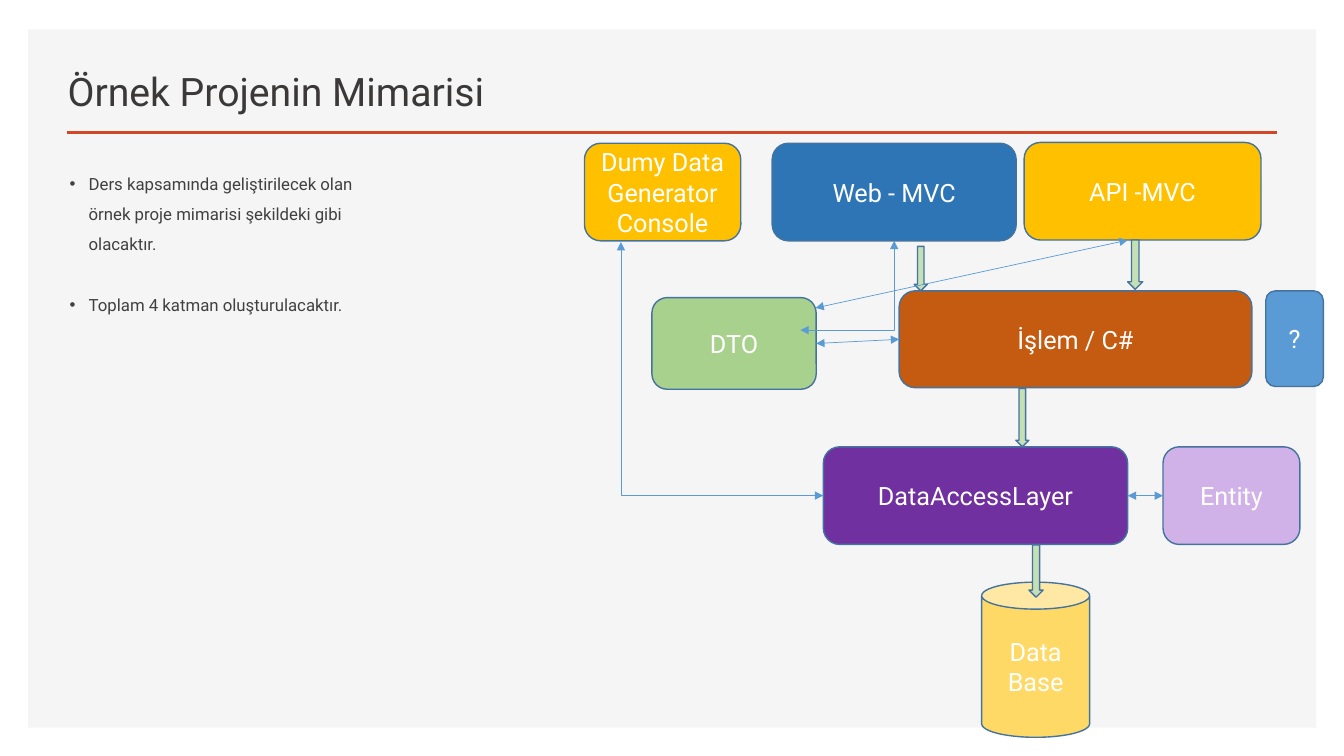
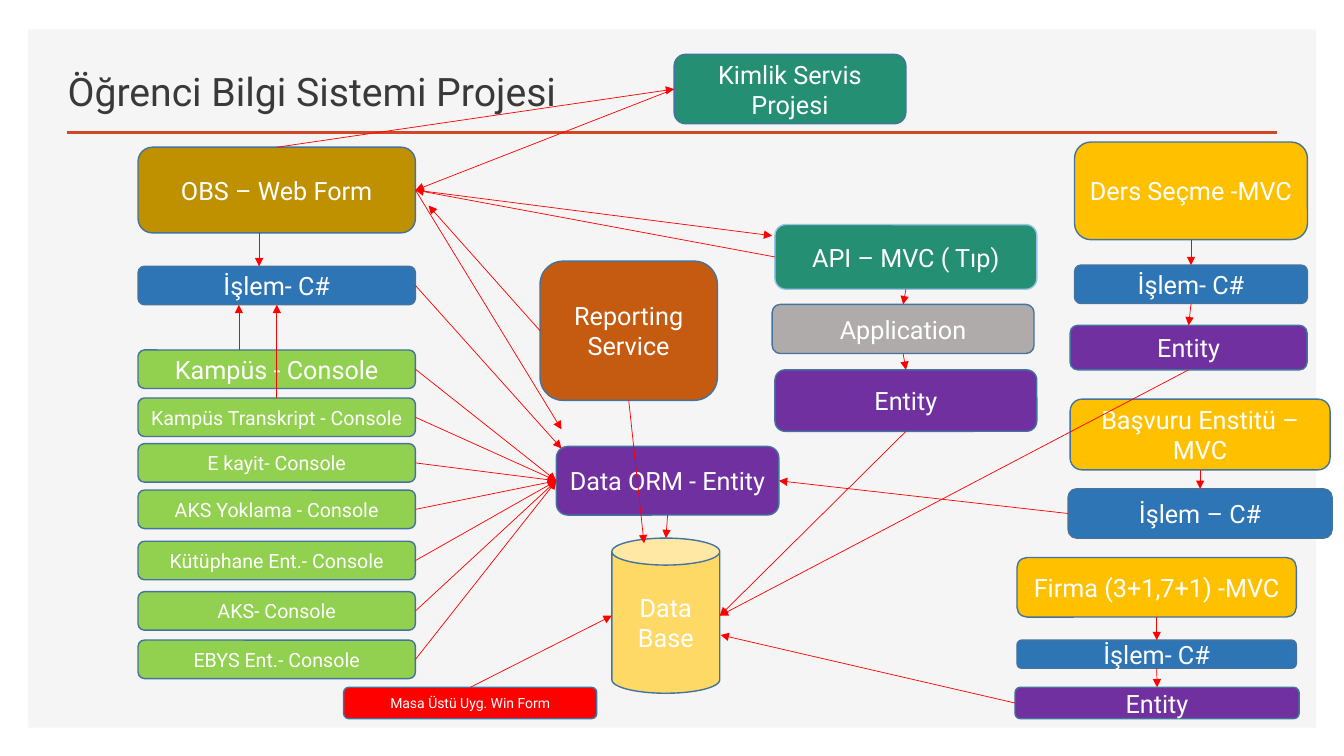
from lxml import etree
from pptx import Presentation
from pptx import util as u
from pptx.dml import color as dml
from pptx.enum import shapes, text
from pptx.oxml import ns

FONT = "Roboto"
COLOURS = {
    "panel": "F5F5F5", "rule": "D24726", "title": "3B3838", "body": "404040",
    "white": "FFFFFF", "outline": "43739E", "pale_outline": "9DC3E6",
    "amber": "FFC000", "blue": "2E75B6", "sky": "5B9BD5", "rust": "C55A11",
    "purple": "7030A0", "lilac": "D1B2E8", "sand": "FFD966", "sage": "A9D18E",
    "mint": "C5E0B4", "ochre": "BF9000", "teal": "258F73", "lime": "92D050",
    "grey": "AFABAB", "red": "FF0000",
}
ROUNDED = shapes.MSO_SHAPE.ROUNDED_RECTANGLE
SITES = {"top": (0, 0.5, 0), "left": (1, 0, 0.5),
         "bottom": (2, 0.5, 1), "right": (3, 1, 0.5)}


def rgb(name):
    return dml.RGBColor.from_string(COLOURS[name])


def format_runs(paragraph, size, colour):
    for run in paragraph.runs:
        run.font.name = FONT
        run.font.size = u.Pt(size)
        run.font.color.rgb = rgb(colour)


def place(shape, left, top, width, height):
    shape.left, shape.top = u.Cm(left), u.Cm(top)
    shape.width, shape.height = u.Cm(width), u.Cm(height)


def add_box(slide, left, top, width, height, fill, label="", size=18,
            kind=ROUNDED, outline="outline"):
    shape = slide.shapes.add_shape(
        kind, u.Cm(left), u.Cm(top), u.Cm(width), u.Cm(height))
    shape.shadow.inherit = False
    shape.fill.solid()
    shape.fill.fore_color.rgb = rgb(fill)
    if outline:
        shape.line.color.rgb = rgb(outline)
        shape.line.width = u.Pt(1)
    else:
        shape.line.fill.background()
    if label:
        frame = shape.text_frame
        frame.word_wrap = True
        frame.vertical_anchor = text.MSO_ANCHOR.MIDDLE
        frame.text = label
        frame.paragraphs[0].alignment = text.PP_ALIGN.CENTER
        format_runs(frame.paragraphs[0], size, "white")
    return shape


def add_database(slide, left, top):
    return add_box(slide, left, top, 2.72, 3.91, "sand", "Data\vBase",
                   kind=shapes.MSO_SHAPE.CAN)


def locate(end):
    target, side = end
    if not isinstance(side, str):
        return u.Cm(target), u.Cm(side)
    _, across, down = SITES[side]
    return (int(target.left + target.width * across),
            int(target.top + target.height * down))


def add_link(slide, start, end, colour="red", width=0.5, heads=("tailEnd",),
             elbow=False):
    style = shapes.MSO_CONNECTOR.ELBOW if elbow else shapes.MSO_CONNECTOR.STRAIGHT
    link = slide.shapes.add_connector(style, *locate(start), *locate(end))
    for (target, side), attach in ((start, link.begin_connect),
                                   (end, link.end_connect)):
        if isinstance(side, str) and target.auto_shape_type == ROUNDED:
            attach(target, SITES[side][0])
    link.line.color.rgb = rgb(colour)
    link.line.width = u.Pt(width)
    properties = link.element.spPr
    if elbow:
        properties.find(ns.qn("a:prstGeom")).set("prst", "bentConnector2")
    line = properties.find(ns.qn("a:ln"))
    for head in heads:
        etree.SubElement(line, ns.qn("a:" + head), type="triangle")
    etree.SubElement(properties, ns.qn("a:effectLst"))
    return link


def add_frame(presentation, slide):
    panel = add_box(slide, 0.71, 0.74, 32.46, 17.6, "panel",
                    kind=shapes.MSO_SHAPE.RECTANGLE, outline=None)
    rule = add_link(slide, (1.68, 3.33), (32.18, 3.33), "rule", 2, ())
    tree = presentation.slide_master.shapes.element
    for index, part in enumerate((panel, rule)):
        part.element.xpath(".//p:cNvPr")[0].set("id", str(100 + index))
        tree.insert(2 + index, part.element)


def add_titled_slide(presentation, layout, heading):
    slide = presentation.slides.add_slide(presentation.slide_layouts[layout])
    title = slide.shapes.title
    place(title, 1.45, 1.24, 19.1, 1.78)
    frame = title.text_frame
    frame.text = heading
    frame.auto_size = text.MSO_AUTO_SIZE.NONE
    frame.vertical_anchor = text.MSO_ANCHOR.BOTTOM
    frame.paragraphs[0].alignment = text.PP_ALIGN.LEFT
    format_runs(frame.paragraphs[0], 28, "title")
    return slide


def fill_body(body, left, top, width, height, items):
    place(body, left, top, width, height)
    frame = body.text_frame
    frame.text = "\n".join(items)
    frame.auto_size = text.MSO_AUTO_SIZE.NONE
    for paragraph in frame.paragraphs:
        paragraph.line_spacing = 1.5
        paragraph.space_before = u.Pt(10)
        paragraph.space_after = u.Pt(12)
        format_runs(paragraph, 12, "body")
        properties = paragraph._p.get_or_add_pPr()
        properties.set("marL", str(u.Cm(0.48)))
        properties.set("indent", str(-u.Cm(0.48)))
        etree.SubElement(properties, ns.qn("a:buFont"), typeface="Arial")
        etree.SubElement(properties, ns.qn("a:buChar"), char="•")


def draw_layers(slide, left, top):
    def layer(x, y, width, height, fill, label):
        return add_box(slide, left + x, top + y, width, height, fill, label)

    def point(x, y):
        return left + x, top + y

    layer(0, 0, 3.94, 2.46, "amber", "Dumy Data Generator\vConsole")
    web = layer(4.73, 0, 6.15, 2.46, "blue", "Web - MVC")
    layer(11.08, -0.02, 5.97, 2.46, "amber", "API -MVC")
    transfer = layer(1.7, 3.89, 4.14, 2.31, "sage", "DTO")
    process = layer(7.93, 3.72, 8.89, 2.44, "rust", "İşlem / C#")
    layer(17.17, 3.72, 1.45, 2.41, "sky", "?")
    access = layer(6.02, 7.65, 7.67, 2.46, "purple", "DataAccessLayer")
    entity = layer(14.58, 7.65, 3.45, 2.46, "lilac", "Entity")
    add_database(slide, left + 10.01, top + 11.06)

    for x, y, width, height in (
            (8.31, 2.6, 0.33, 1.12), (13.69, 2.44, 0.38, 1.24),
            (10.87, 6.18, 0.33, 1.47), (11.2, 10.12, 0.36, 1.32)):
        add_box(slide, left + x, top + y, width, height, "mint",
                kind=shapes.MSO_SHAPE.DOWN_ARROW)

    for start, end, elbow in (
            (point(5.44, 4.71), (web, "bottom"), True),
            ((transfer, "right"), (process, "left"), False),
            (point(5.82, 4.15), point(13.69, 2.44), False),
            ((access, "left"), point(0.92, 2.49), True),
            ((entity, "left"), (access, "right"), False)):
        add_link(slide, start, end, "sky", heads=("headEnd", "tailEnd"),
                 elbow=elbow)


def draw_chain(slide, left, top, rows):
    boxes = [add_box(slide, left + x, top + y, width, height, fill, label,
                     outline=outline)
             for label, x, y, width, height, fill, outline in rows]
    for upper, lower in zip(boxes, boxes[1:]):
        add_link(slide, (upper, "bottom"), (lower, "top"))
    return boxes


def draw_consoles(slide, left, top):
    width, height = 6.99, 0.97
    portal = add_box(slide, left, top, width, 2.16, "ochre", "OBS – Web Form")
    process = add_box(slide, left, top + 3, width, height, "blue", "İşlem- C#")
    rows = (
        ("Kampüs - Console", 5.11, 18),
        ("Kampüs Transkript - Console", 6.32, 14),
        ("E kayit- Console", 7.47, 14),
        ("AKS Yoklama - Console", 8.64, 14),
        ("Kütüphane Ent.- Console", 9.93, 14),
        ("AKS- Console", 11.2, 14),
        ("EBYS Ent.- Console", 12.42, 14),
    )
    consoles = [add_box(slide, left, top + y, width, height, "lime", label, size)
                for label, y, size in rows]
    add_link(slide, (left + 3.05, top + 2.16), (left + 3.05, top + 3))
    add_link(slide, (left + 2.54, top + 5.11), (left + 2.54, top + 3.97))
    add_link(slide, (consoles[1], "top"), (process, "bottom"))
    return portal, process, consoles


def draw_student_system(slide, left, top):
    def point(x, y):
        return left + x, top + y

    def box(x, y, *details):
        return add_box(slide, left + x, top + y, *details)

    portal, process, consoles = draw_consoles(slide, left + 3.48, top + 3.71)
    report = box(13.61, 6.58, 4.47, 3.51, "rust", "Reporting Service")
    orm = box(14.02, 11.25, 5.61, 1.73, "purple", "Data ORM - Entity")
    database = add_database(slide, left + 15.42, top + 13.56)
    identity = box(16.99, 1.37, 5.84, 1.75, "teal", "Kimlik Servis Projesi")
    desktop = box(8.66, 17.32, 6.38, 0.79, "red", "Masa Üstü Uyg. Win Form", 10)

    medical = draw_chain(slide, left + 19.46, top + 5.66, (
        ("API – MVC ( Tıp)", 0.07, 0, 6.6, 1.63, "teal", "pale_outline"),
        ("Application", 0, 2.01, 6.6, 1.24, "grey", "outline"),
        ("Entity", 0.07, 3.66, 6.6, 1.55, "purple", "outline")))
    courses = draw_chain(slide, left + 26.97, top + 3.58, (
        ("Ders Seçme -MVC", 0.11, 0, 5.87, 2.46, "amber", "outline"),
        ("İşlem- C#", 0.11, 3.1, 5.87, 0.97, "blue", "outline"),
        ("Entity", 0, 4.62, 5.97, 1.12, "purple", "outline")))
    institute = draw_chain(slide, left + 26.92, top + 10.06, (
        ("Başvuru Enstitü – MVC", 0.05, 0, 6.55, 1.78, "amber", "outline"),
        ("İşlem – C#", 0, 2.26, 6.65, 1.24, "blue", "outline")))
    company = draw_chain(slide, left + 25.58, top + 14.05, (
        ("Firma (3+1,7+1) -MVC", 0.05, 0, 7.04, 1.5, "amber", "outline"),
        ("İşlem- C#", 0.05, 2.08, 7.04, 0.71, "blue", "outline"),
        ("Entity", 0, 3.27, 7.16, 0.79, "purple", "outline")))

    for console in consoles:
        add_link(slide, (console, "right"), (orm, "left"))
    for start, end in (
            ((report, "bottom"), point(16.23, 13.69)),
            ((report, "left"), point(10.8, 5.18)),
            ((process, "right"), point(14.15, 11.3)),
            ((portal, "right"), point(14.15, 10.82)),
            ((portal, "right"), point(19.46, 5.94)),
            ((portal, "top"), (identity, "left")),
            ((identity, "left"), (portal, "right")),
            ((medical[0], "left"), (portal, "right")),
            ((medical[-1], "bottom"), (database, "right")),
            ((courses[-1], "bottom"), (database, "right")),
            ((institute[-1], "left"), (orm, "right")),
            ((company[-1], "left"), point(18.16, 16)),
            ((orm, "bottom"), (database, "top")),
            ((desktop, "top"), (database, "left"))):
        add_link(slide, start, end)


def main():
    presentation = Presentation()
    presentation.slide_width, presentation.slide_height = u.Cm(33.87), u.Cm(19.05)

    architecture = add_titled_slide(presentation, 1, "Örnek Projenin Mimarisi")
    add_frame(presentation, architecture)
    fill_body(architecture.placeholders[1], 1.5, 3.99, 7.8, 12.73, (
        "Ders kapsamında geliştirilecek olan örnek proje mimarisi şekildeki gibi olacaktır.",
        "Toplam 4 katman oluşturulacaktır."))
    draw_layers(architecture, 14.73, 3.61)

    student_system = add_titled_slide(presentation, 5, "Öğrenci Bilgi Sistemi Projesi")
    draw_student_system(student_system, 0, 0)

    presentation.save("out.pptx")


if __name__ == "__main__":
    main()
